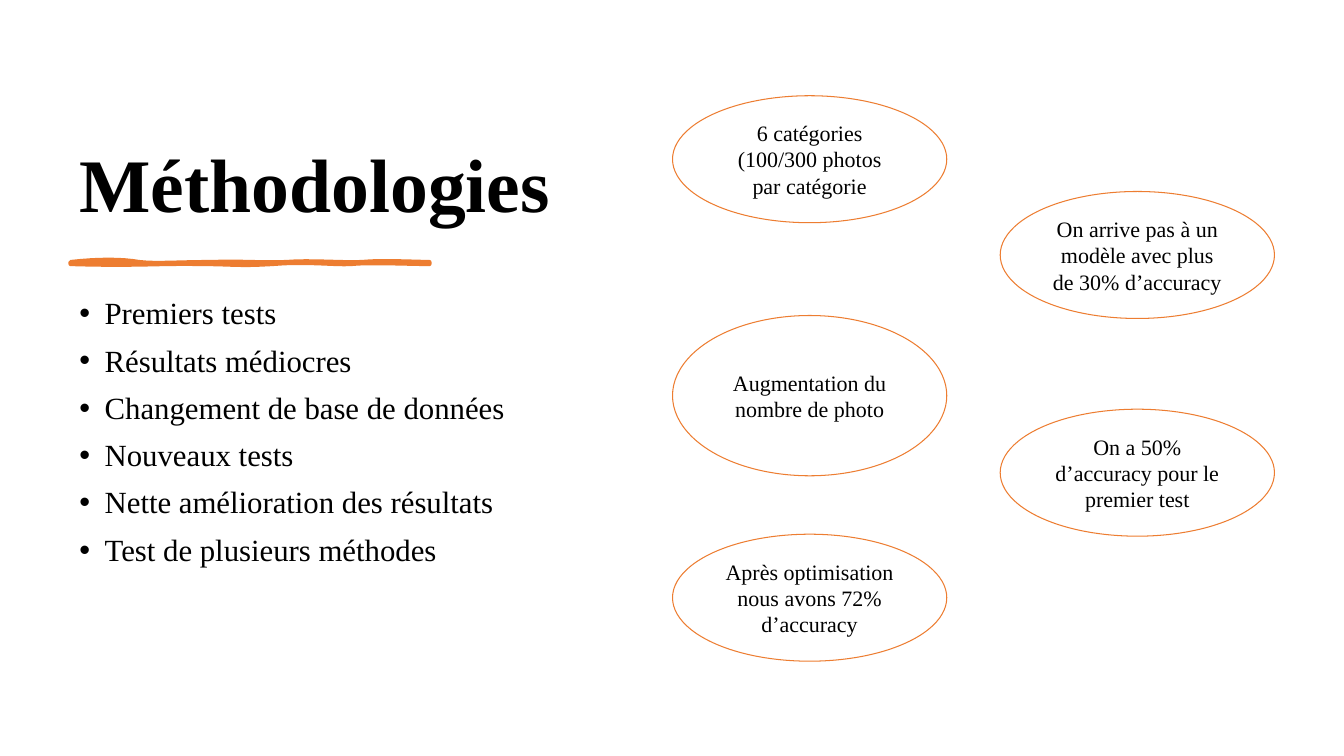
from lxml.etree import SubElement
from pptx import Presentation
from pptx.dml.color import RGBColor
from pptx.enum.shapes import MSO_SHAPE
from pptx.enum.text import MSO_ANCHOR, MSO_AUTO_SIZE, PP_ALIGN
from pptx.oxml.ns import qn
from pptx.util import Inches, Pt


def color(code):
    return RGBColor.from_string(code)


def curve(start, knots, steps=8):
    """Turn chained cubic curves into short line segments."""
    dots = []
    for a, b, end in zip(knots[::3], knots[1::3], knots[2::3]):
        for step in range(1, steps + 1):
            t = step / steps
            u = 1 - t
            dots.append(tuple(
                Inches(u**3 * p + 3 * u * u * t * q + 3 * u * t * t * r + t**3 * s)
                for p, q, r, s in zip(start, a, b, end)))
        start = end
    return dots


class Deck:
    font = "Times New Roman"
    ink = "000000"
    accent = "ED7D31"

    def __init__(self):
        self.prs = Presentation()
        self.prs.slide_width = Inches(13.33)
        self.prs.slide_height = Inches(7.5)
        self.slide = self.prs.slides.add_slide(self.prs.slide_layouts[5])

    def style(self, para, size, bold=False, align=PP_ALIGN.LEFT):
        para.alignment = align
        for run in para.runs:
            run.font.name = self.font
            run.font.size = Pt(size)
            run.font.bold = bold
            run.font.color.rgb = color(self.ink)

    def title(self, text, left, top, width, height):
        box = self.slide.shapes.title
        box.left, box.top = Inches(left), Inches(top)
        box.width, box.height = Inches(width), Inches(height)
        frame = box.text_frame
        frame.text = text
        frame.auto_size = MSO_AUTO_SIZE.NONE
        frame.vertical_anchor = MSO_ANCHOR.BOTTOM
        para = frame.paragraphs[0]
        para.line_spacing = 0.9
        self.style(para, 54, bold=True)

    def stroke(self, start, knots):
        pen = self.slide.shapes.build_freeform(*map(Inches, start))
        pen.add_line_segments(curve(start, knots), close=True)
        self.paint(pen.convert_to_shape(), 3, self.accent)

    def paint(self, shape, weight, fill=None):
        shape.shadow.inherit = False
        if fill:
            shape.fill.solid()
            shape.fill.fore_color.rgb = color(fill)
        else:
            shape.fill.background()
        shape.line.color.rgb = color(self.accent)
        shape.line.width = Pt(weight)

    def bullets(self, items, left, top, width, height):
        box = self.slide.shapes.add_textbox(
            Inches(left), Inches(top), Inches(width), Inches(height))
        frame = box.text_frame
        frame.word_wrap = True
        frame.text = "\n".join(items)
        for para in frame.paragraphs:
            para.line_spacing = 0.9
            para.space_before = Pt(10)
            self.style(para, 22)
            props = para._p.get_or_add_pPr()
            props.set("marL", str(Inches(0.25)))
            props.set("indent", str(-Inches(0.25)))
            SubElement(props, qn("a:buFont")).set("typeface", "Arial")
            SubElement(props, qn("a:buChar")).set("char", "•")

    def bubble(self, text, left, top, height=1.26):
        oval = self.slide.shapes.add_shape(
            MSO_SHAPE.OVAL, Inches(left), Inches(top), Inches(2.72), Inches(height))
        self.paint(oval, 0.75)
        frame = oval.text_frame
        frame.word_wrap = True
        frame.vertical_anchor = MSO_ANCHOR.MIDDLE
        frame.text = text
        self.style(frame.paragraphs[0], 15.7, align=PP_ALIGN.CENTER)

    def save(self):
        self.prs.save("out.pptx")


def main():
    deck = Deck()

    # Title and hand-drawn underline
    deck.title("Méthodologies", 0.69, 0.7, 5.27, 1.62)
    deck.stroke((0.7, 2.6), [
        (0.97, 2.57), (1.21, 2.57), (1.38, 2.6),
        (1.55, 2.62), (1.77, 2.6), (2.09, 2.6),
        (2.41, 2.59), (2.6, 2.61), (2.84, 2.6),
        (3.08, 2.58), (3.39, 2.61), (3.59, 2.6),
        (3.79, 2.58), (4.12, 2.6), (4.26, 2.6),
        (4.26, 2.6), (4.26, 2.61), (4.26, 2.62),
        (4.08, 2.62), (3.64, 2.6), (3.48, 2.62),
        (3.32, 2.63), (3.04, 2.59), (2.7, 2.62),
        (2.35, 2.64), (2.31, 2.62), (1.99, 2.62),
        (1.66, 2.61), (1.32, 2.64), (0.7, 2.62),
    ])

    # List of steps
    deck.bullets([
        "Premiers tests",
        "Résultats médiocres",
        "Changement de base de données",
        "Nouveaux tests",
        "Nette amélioration des résultats",
        "Test de plusieurs méthodes",
    ], 0.69, 2.91, 5.27, 3.88)

    # Bubbles in two columns
    near, far = 6.67, 9.92
    deck.bubble("Augmentation du nombre de photo", near, 3.13, 1.59)
    deck.bubble("6 catégories (100/300 photos par catégorie", near, 0.95)
    deck.bubble("On arrive pas à un modèle avec plus de 30% d’accuracy", far, 1.9)
    deck.bubble("On a 50% d’accuracy pour le premier test", far, 4.06)
    deck.bubble("Après optimisation nous avons 72% d’accuracy", near, 5.3)

    deck.save()


if __name__ == "__main__":
    main()
